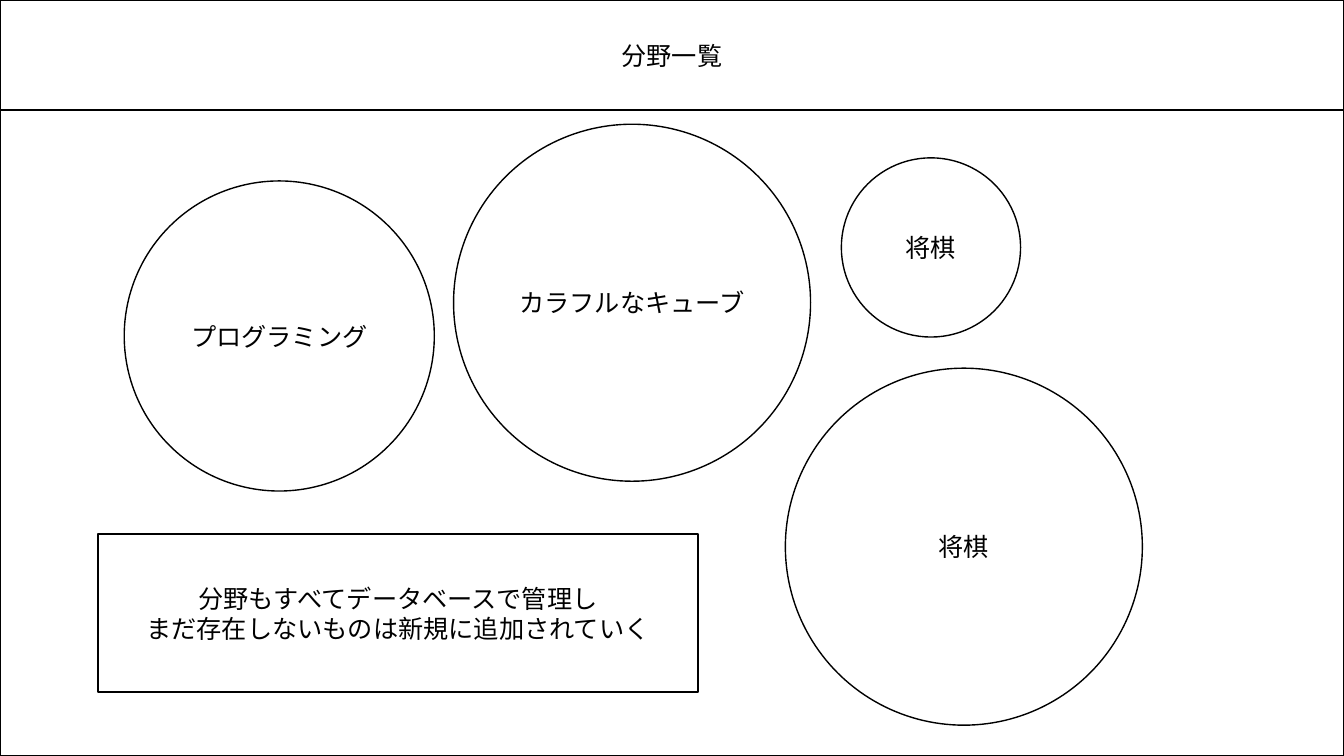
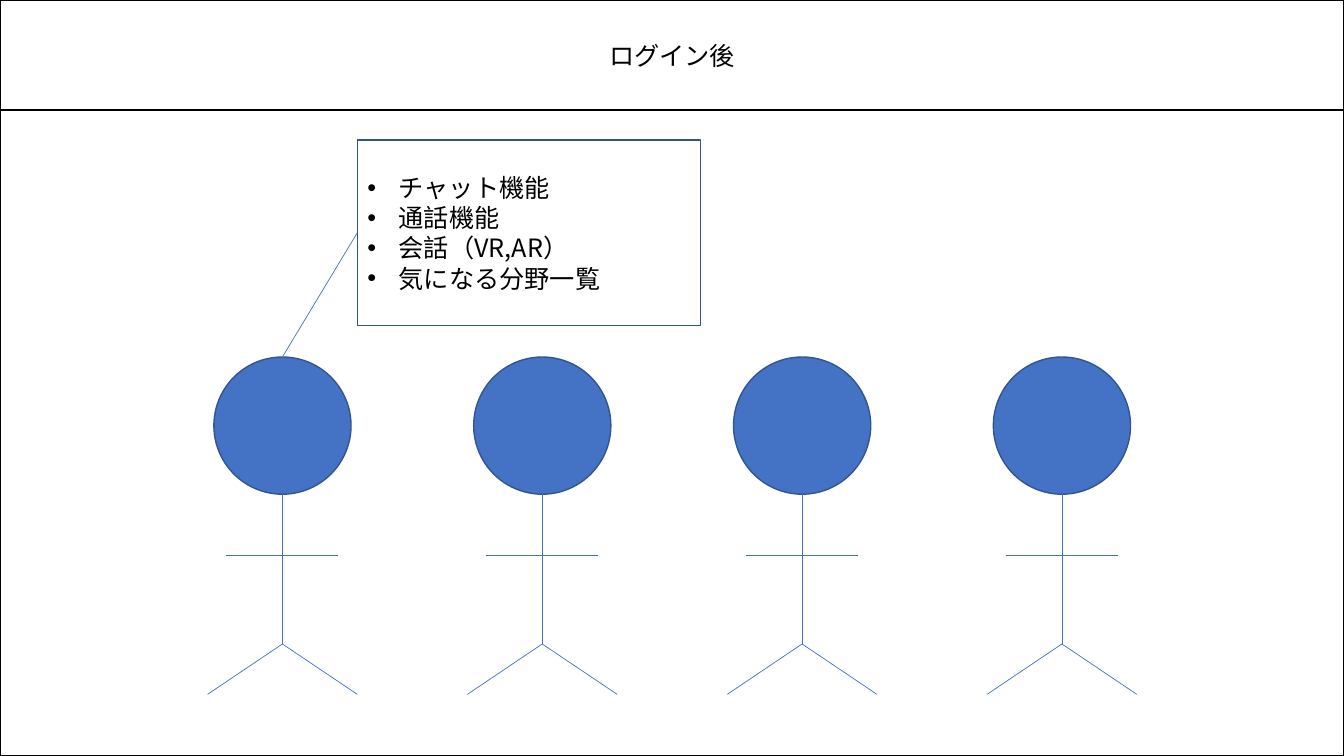
from lxml.etree import SubElement
from pptx import Presentation
from pptx.dml.color import RGBColor
from pptx.enum.shapes import MSO_CONNECTOR, MSO_SHAPE
from pptx.enum.text import MSO_ANCHOR, MSO_AUTO_SIZE, PP_ALIGN
from pptx.oxml.ns import qn
from pptx.util import Pt

WIDTH, HEIGHT, BAND = 960, 540, 78.5
FONT = "Noto Sans CJK JP"
BLACK, WHITE, BLUE, NAVY = "000000", "FFFFFF", "4472C4", "325491"
INDENT = 22.5
FRAME_FORMAT = {
    "word_wrap": True,
    "auto_size": MSO_AUTO_SIZE.NONE,
    "vertical_anchor": MSO_ANCHOR.MIDDLE,
    "margin_left": Pt(7.2),
    "margin_right": Pt(7.2),
    "margin_top": Pt(3.6),
    "margin_bottom": Pt(3.6),
}
PARAGRAPH_FORMAT = {"line_spacing": 1.0, "space_before": Pt(0), "space_after": Pt(0)}
FONT_FORMAT = {"name": FONT, "size": Pt(18), "bold": False}


def color(value):
    return RGBColor.from_string(value)


def apply(target, values):
    for name, value in values.items():
        setattr(target, name, value)


def add_bullet(p):
    pPr = p._p.get_or_add_pPr()
    pPr.set("marL", str(Pt(INDENT)))
    pPr.set("indent", str(-Pt(INDENT)))
    SubElement(pPr, qn("a:buFont"), typeface="Arial")
    SubElement(pPr, qn("a:buChar"), char="•")


def write(sp, lines, align=PP_ALIGN.CENTER, bullets=False):
    tf = sp.text_frame
    apply(tf, FRAME_FORMAT)
    for i, line in enumerate(lines):
        p = tf.add_paragraph() if i else tf.paragraphs[0]
        apply(p, {**PARAGRAPH_FORMAT, "alignment": align})
        if bullets:
            add_bullet(p)
        r = p.add_run()
        r.text = line
        apply(r.font, FONT_FORMAT)
        r.font.color.rgb = color(BLACK)
        SubElement(r.font._element, qn("a:ea"), typeface=FONT)


def paint(sp, fill, line):
    if fill:
        sp.fill.solid()
        sp.fill.fore_color.rgb = color(fill)
    else:
        sp.fill.background()
    sp.line.color.rgb = color(line)
    sp.line.width = Pt(1)


def add_shape(shapes, kind, box, fill=None, line=BLACK):
    sp = shapes.add_shape(kind, *map(Pt, box))
    sp.shadow.inherit = False
    paint(sp, fill, line)
    return sp


def add_line(shapes, start, end):
    sp = shapes.add_connector(MSO_CONNECTOR.STRAIGHT, *map(Pt, (*start, *end)))
    sp.line.color.rgb = color(BLUE)
    sp.line.width = Pt(0.5)
    SubElement(sp._element.spPr, qn("a:effectLst"))


def add_screen(prs, title):
    s = prs.slides.add_slide(prs.slide_layouts[5])
    sp = s.shapes.title
    apply(sp, {"left": 0, "top": 0, "width": Pt(WIDTH), "height": Pt(BAND)})
    paint(sp, None, BLACK)
    write(sp, [title])
    add_shape(s.shapes, MSO_SHAPE.RECTANGLE, (0, BAND, WIDTH, HEIGHT - BAND))
    return s


def add_field(s, label, left, top, size):
    write(add_shape(s.shapes, MSO_SHAPE.OVAL, (left, top, size, size)), [label])


def add_person(s, left, top, width, height):
    shapes = s.shapes.add_group_shape().shapes
    head = 98
    center, neck = left + width / 2, top + head
    arms, hip = top + 142, top + 205
    add_shape(shapes, MSO_SHAPE.OVAL, (center - head / 2, top, head, head), BLUE, NAVY)
    add_line(shapes, (center - 40, arms), (center + 40, arms))
    for foot in (left, left + width):
        add_line(shapes, (center, hip), (foot, top + height))
    add_line(shapes, (center, neck), (center, hip))


def build_fields(prs):
    s = add_screen(prs, "分野一覧")
    for field in (
        ("プログラミング", 88.75, 129.25, 221.5),
        ("カラフルなキューブ", 324, 88.75, 255),
        ("将棋", 601, 112.75, 128),
        ("将棋", 561, 263, 255),
    ):
        add_field(s, *field)
    note = add_shape(s.shapes, MSO_SHAPE.RECTANGLE, (70, 381.5, 428.5, 113), WHITE)
    write(note, ["分野もすべてデータベースで管理し", "まだ存在しないものは新規に追加されていく"])


def build_login(prs):
    s = add_screen(prs, "ログイン後")
    left, top, width, height, step = 148.25, 255, 107, 241, 185.6
    for i in range(4):
        add_person(s, left + i * step, top, width, height)
    x, y, w, h = 255.25, 100, 245, 132.5
    menu = add_shape(s.shapes, MSO_SHAPE.RECTANGLE, (x, y, w, h), WHITE, NAVY)
    items = ["チャット機能", "通話機能", "会話（VR,AR）", "気になる分野一覧"]
    write(menu, items, PP_ALIGN.LEFT, bullets=True)
    add_line(s.shapes, (x, y + h / 2), (left + width / 2, top))


prs = Presentation()
prs.slide_width, prs.slide_height = Pt(WIDTH), Pt(HEIGHT)
build_fields(prs)
build_login(prs)
prs.save("out.pptx")
